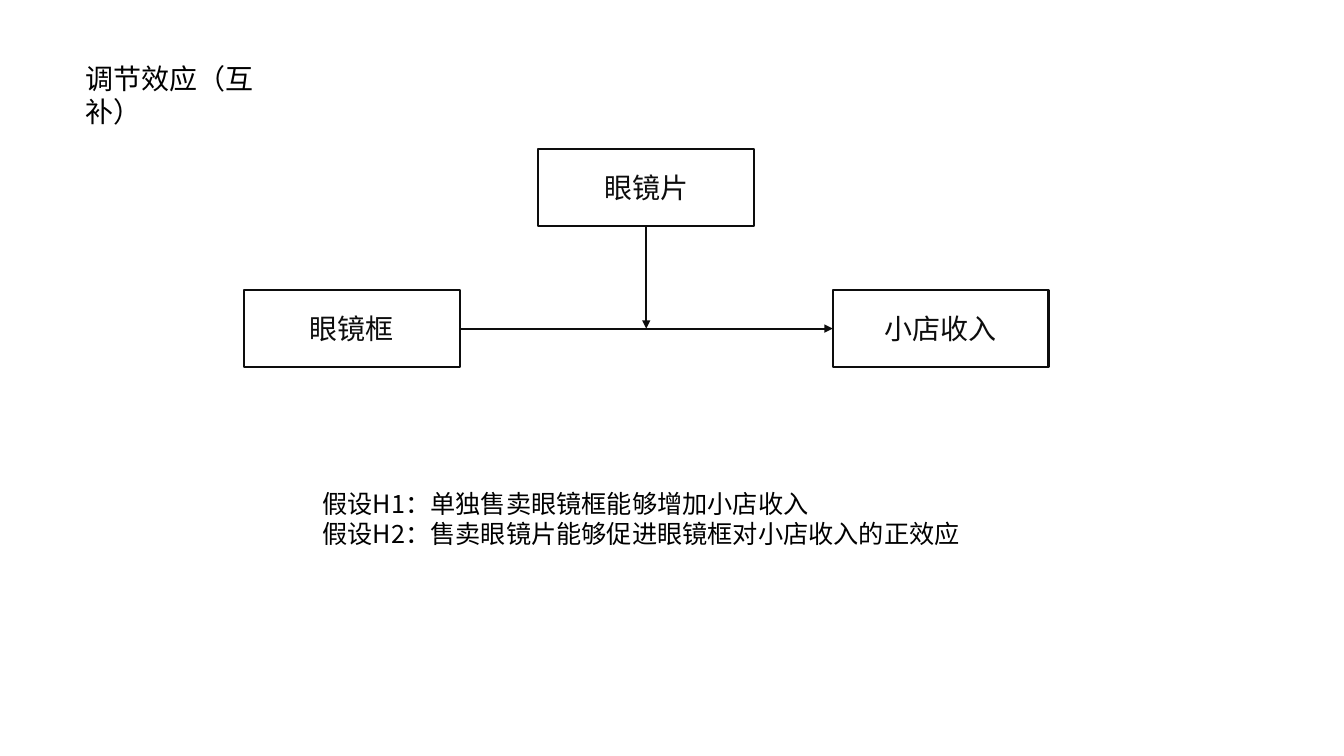
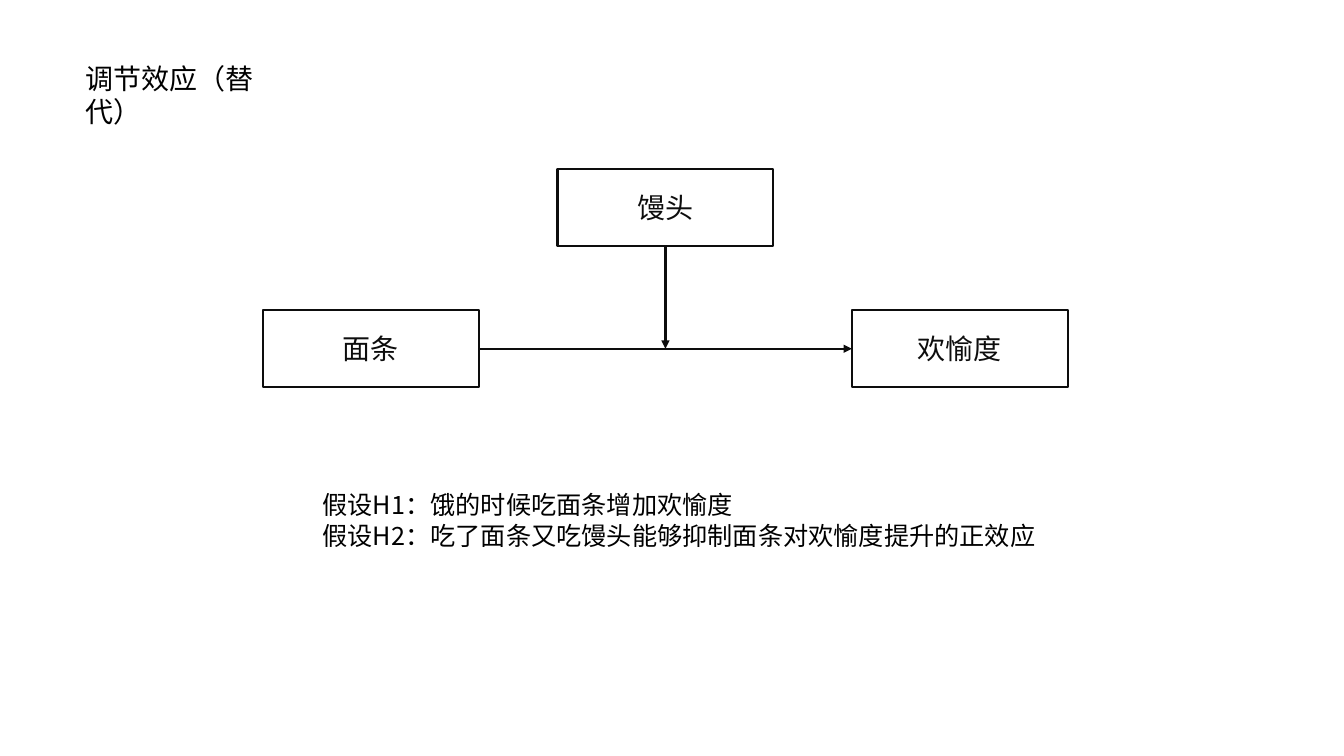
from dataclasses import dataclass

from lxml.etree import SubElement
from pptx import Presentation
from pptx.dml.color import RGBColor
from pptx.enum.shapes import MSO_CONNECTOR, MSO_SHAPE
from pptx.enum.text import MSO_ANCHOR, MSO_AUTO_SIZE, PP_ALIGN
from pptx.oxml.ns import qn
from pptx.util import Emu, Pt


@dataclass(frozen=True)
class Theme:
    font: str = "Noto Sans CJK SC"
    text: RGBColor = RGBColor(0x00, 0x00, 0x00)
    diagram: RGBColor = RGBColor(0x0D, 0x0D, 0x0D)
    large: Pt = Pt(20)
    body: Pt = Pt(18)
    stroke: Pt = Pt(1.5)


THEME = Theme()
EMU_PER_PX = 9144  # 100 px to the inch
BOX_WIDTH, BOX_HEIGHT = 214, 76
COLUMN_STEP = 292  # each column starts this far right of the one before
MODERATOR_RISE = 140
BOTTOM, LEFT, RIGHT = 2, 1, 3

MODELS = [
    {
        "title": "调节效应（互补）",
        "cause": "眼镜框",
        "moderator": "眼镜片",
        "outcome": "小店收入",
        "origin": (242, 288),
        "hypotheses": [
            "假设H1：单独售卖眼镜框能够增加小店收入",
            "假设H2：售卖眼镜片能够促进眼镜框对小店收入的正效应",
        ],
        "hypotheses_area": (310, 479, 714, 71),
    },
    {
        "title": "调节效应（替代）",
        "cause": "面条",
        "moderator": "馒头",
        "outcome": "欢愉度",
        "origin": (261, 308),
        "hypotheses": [
            "假设H1：饿的时候吃面条增加欢愉度",
            "假设H2：吃了面条又吃馒头能够抑制面条对欢愉度提升的正效应",
        ],
        "hypotheses_area": (310, 481, 739, 71),
    },
]


def px(length):
    return Emu(length * EMU_PER_PX)


def format_runs(frame, size, color):
    for paragraph in frame.paragraphs:
        for run in paragraph.runs:
            run.font.size = size
            run.font.color.rgb = color
            run.font.name = THEME.font
            # Chinese glyphs take the East Asian typeface
            SubElement(run.font._element, qn("a:ea"), typeface=THEME.font)


def add_text(slide, lines, area, size):
    frame = slide.shapes.add_textbox(*map(px, area)).text_frame
    frame.word_wrap = True
    frame.auto_size = MSO_AUTO_SIZE.SHAPE_TO_FIT_TEXT
    frame.text = "\n".join(lines)
    format_runs(frame, size, THEME.text)


def add_variable(slide, label, left, top):
    """Draw one outlined box that names a variable of the model."""
    box = slide.shapes.add_shape(
        MSO_SHAPE.RECTANGLE, px(left), px(top), px(BOX_WIDTH), px(BOX_HEIGHT)
    )
    box.shadow.inherit = False
    box.fill.background()
    box.line.color.rgb = THEME.diagram
    box.line.width = THEME.stroke
    frame = box.text_frame
    frame.text = label
    frame.vertical_anchor = MSO_ANCHOR.MIDDLE
    frame.paragraphs[0].alignment = PP_ALIGN.CENTER
    format_runs(frame, THEME.large, THEME.diagram)
    return box


def add_arrow(slide, source, side, end):
    """Draw an arrow from the middle of a box's side to a point in px."""
    end_x, end_y = map(px, end)
    arrow = slide.shapes.add_connector(
        MSO_CONNECTOR.STRAIGHT, source.left, source.top, end_x, end_y
    )
    arrow.begin_connect(source, side)
    arrow.line.color.rgb = THEME.diagram
    arrow.line.width = THEME.stroke
    SubElement(arrow.line._get_or_add_ln(), qn("a:tailEnd"), type="triangle")
    SubElement(arrow._element.spPr, qn("a:effectLst"))
    return arrow


def add_moderation_diagram(slide, model):
    left, top = model["origin"]
    moderator_left = left + COLUMN_STEP
    outcome_left = moderator_left + COLUMN_STEP
    axis = top + BOX_HEIGHT // 2

    cause = add_variable(slide, model["cause"], left, top)
    outcome = add_variable(slide, model["outcome"], outcome_left, top)
    effect = add_arrow(slide, cause, RIGHT, (outcome_left, axis))
    effect.end_connect(outcome, LEFT)

    moderator = add_variable(
        slide, model["moderator"], moderator_left, top - MODERATOR_RISE
    )
    add_arrow(slide, moderator, BOTTOM, (moderator_left + BOX_WIDTH // 2, axis))


def main():
    deck = Presentation()
    deck.slide_width, deck.slide_height = px(1333), px(750)
    blank = deck.slide_layouts[6]
    for model in MODELS:
        slide = deck.slides.add_slide(blank)
        add_text(slide, [model["title"]], (75, 56, 234, 44), THEME.large)
        add_moderation_diagram(slide, model)
        add_text(slide, model["hypotheses"], model["hypotheses_area"], THEME.body)
    deck.save("out.pptx")


if __name__ == "__main__":
    main()
